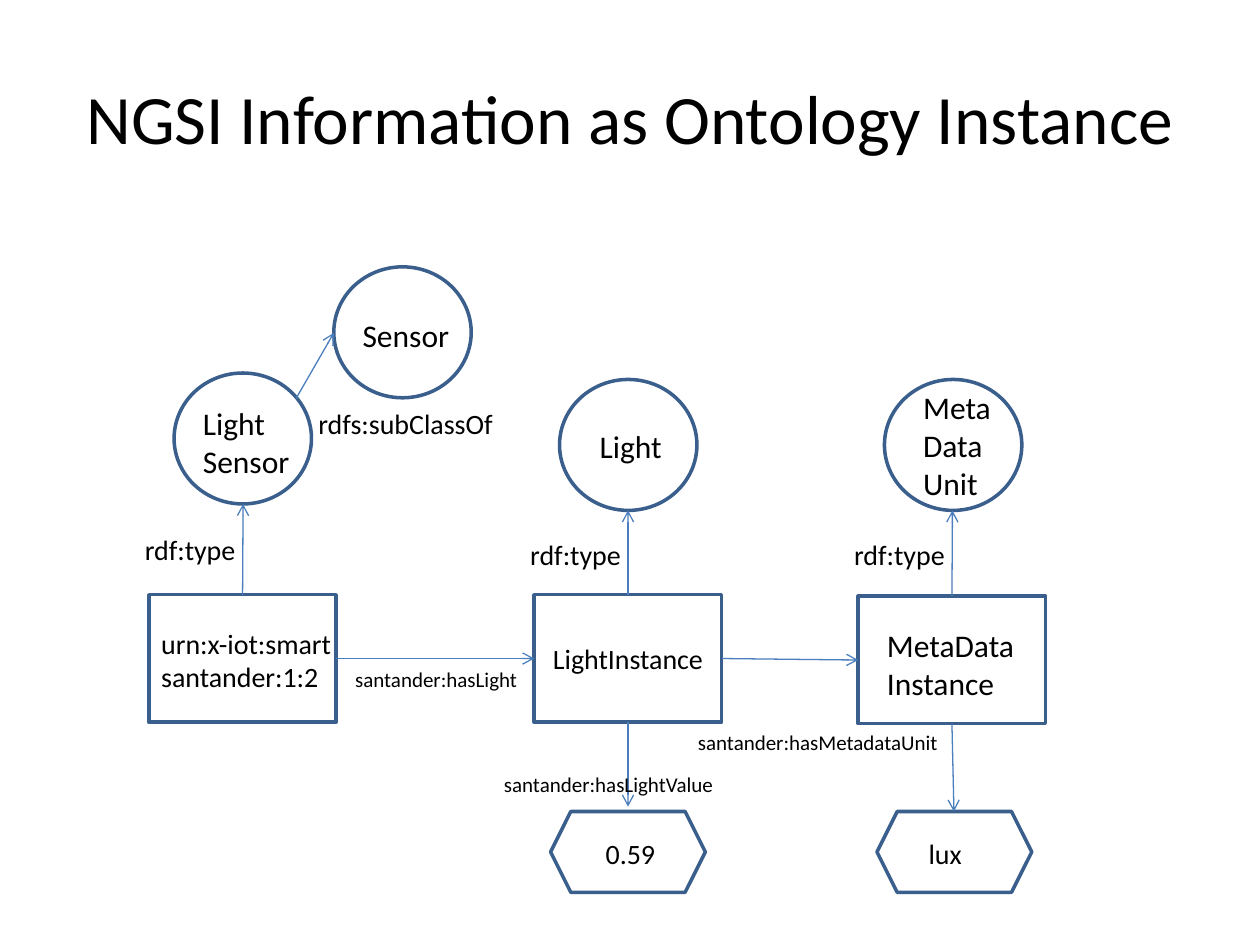
import pptx
import pptx.dml.color
import pptx.enum.shapes
import pptx.enum.text
import pptx.oxml
import pptx.oxml.ns
import pptx.util

Cm = pptx.util.Cm
Pt = pptx.util.Pt
SHAPE = pptx.enum.shapes.MSO_SHAPE
TOP, LEFT, BOTTOM, RIGHT = range(4)
COLORS = {"text": "000000", "outline": "3A5F8C", "arrow": "4B7EBC"}


def rgb(name):
    return pptx.dml.color.RGBColor.from_string(COLORS[name])


def write(text, *, box=None, shape=None, size=16, centered=False, wrap=False):
    """Write into the given shape, or into a new text box at box (cm)."""
    holder = shape or slide.shapes.add_textbox(*map(Cm, box))
    frame = holder.text_frame
    frame.word_wrap = wrap
    if not shape and not wrap:
        frame.auto_size = pptx.enum.text.MSO_AUTO_SIZE.SHAPE_TO_FIT_TEXT
    if centered:
        frame.vertical_anchor = pptx.enum.text.MSO_ANCHOR.MIDDLE
    paragraph = frame.paragraphs[0]
    paragraph.text = text
    paragraph.alignment = (pptx.enum.text.PP_ALIGN.CENTER if centered
                           else pptx.enum.text.PP_ALIGN.LEFT)
    for run in paragraph.runs:
        run.font.name = "Calibri"
        run.font.size = Pt(size)
        run.font.color.rgb = rgb("text")


presentation = pptx.Presentation()
presentation.slide_width = Cm(25.4)
presentation.slide_height = Cm(19.05)
slide = presentation.slides.add_slide(presentation.slide_layouts[6])

write("NGSI Information as Ontology Instance", box=(1.27, 0.76, 22.86, 3.18),
      size=39.6, centered=True, wrap=True)

# Classes are circles, instances are rectangles, values are hexagons
SIZES = {SHAPE.OVAL: (2.77, 2.64), SHAPE.RECTANGLE: (3.78, 2.57),
         SHAPE.HEXAGON: (3.12, 1.63)}
nodes = {}
for name, kind, left, top in [
    ("light sensor class", SHAPE.OVAL, 3.51, 7.52),
    ("light class", SHAPE.OVAL, 11.28, 7.65),
    ("unit class", SHAPE.OVAL, 17.83, 7.65),
    ("sensor class", SHAPE.OVAL, 6.73, 5.38),
    ("sensor instance", SHAPE.RECTANGLE, 3, 11.99),
    ("light instance", SHAPE.RECTANGLE, 10.77, 11.99),
    ("metadata instance", SHAPE.RECTANGLE, 17.3, 12.02),
    ("light value", SHAPE.HEXAGON, 11.1, 16.36),
    ("unit value", SHAPE.HEXAGON, 17.68, 16.36),
]:
    width, height = SIZES[kind]
    shape = slide.shapes.add_shape(kind, Cm(left), Cm(top), Cm(width), Cm(height))
    shape.shadow.inherit = False
    shape.fill.background()
    shape.line.color.rgb = rgb("outline")
    shape.line.width = Pt(2)
    nodes[name] = shape

# Each end is a point in cm or a (node, side) pair
for begin, end in [
    (("sensor instance", TOP), (4.9, 10.16)),
    (("light instance", TOP), (12.66, 10.29)),
    (("metadata instance", TOP), (19.2, 10.29)),
    (("sensor instance", RIGHT), ("light instance", LEFT)),
    (("light instance", RIGHT), ("metadata instance", LEFT)),
    (("light instance", BOTTOM), (12.66, 16.26)),
    (("metadata instance", BOTTOM), (19.23, 16.36)),
    ((5.97, 8.03), (6.73, 6.71)),
]:
    points = [(0, 0) if point[0] in nodes else point for point in (begin, end)]
    arrow = slide.shapes.add_connector(
        pptx.enum.shapes.MSO_CONNECTOR.STRAIGHT,
        *(Cm(value) for point in points for value in point))
    for (node, side), connect in [(begin, arrow.begin_connect),
                                  (end, arrow.end_connect)]:
        if node in nodes:
            connect(nodes[node], side)
    arrow.line.color.rgb = rgb("arrow")
    arrow.line.width = Pt(0.75)
    namespace = pptx.oxml.ns.nsdecls("a")
    arrow.line._get_or_add_ln().append(
        pptx.oxml.parse_xml(f'<a:tailEnd {namespace} type="arrow"/>'))
    arrow._element.spPr.append(
        pptx.oxml.parse_xml(f"<a:effectLst {namespace}/>"))

write("LightInstance", shape=nodes["light instance"], centered=True)

for text, size, box in [
    ("Light\nSensor", 18, (3.84, 8.03, 2.29, 1.8)),
    ("Light", 18, (11.84, 8.48, 1.78, 1.02)),
    ("Meta\nData\nUnit", 18, (18.36, 7.7, 1.88, 2.57)),
    ("Sensor", 18, (7.06, 6.25, 2.29, 1.02)),
    ("MetaData\nInstance", 18, (17.63, 12.5, 3.1, 1.8)),
    ("urn:x-iot:smart\nsantander:1:2", 16, (3, 12.5, 3.99, 1.63)),
    ("0.59", 16, (11.96, 16.74, 1.52, 0.94)),
    ("lux", 16, (18.47, 16.74, 1.19, 0.94)),
    ("rdf:type", 16, (2.67, 10.62, 2.36, 0.94)),
    ("rdf:type", 16, (10.44, 10.72, 2.36, 0.94)),
    ("rdf:type", 16, (16.97, 10.72, 2.36, 0.94)),
    ("rdfs:subClassOf", 16, (6.17, 8.08, 4.06, 0.94)),
    ("santander:hasLight", 12, (6.91, 13.31, 3.81, 0.76)),
    ("santander:hasMetadataUnit", 12, (13.82, 14.58, 5.38, 0.76)),
    ("santander:hasLightValue", 12, (9.91, 15.42, 4.75, 0.76)),
]:
    write(text, box=box, size=size)

presentation.save("out.pptx")
